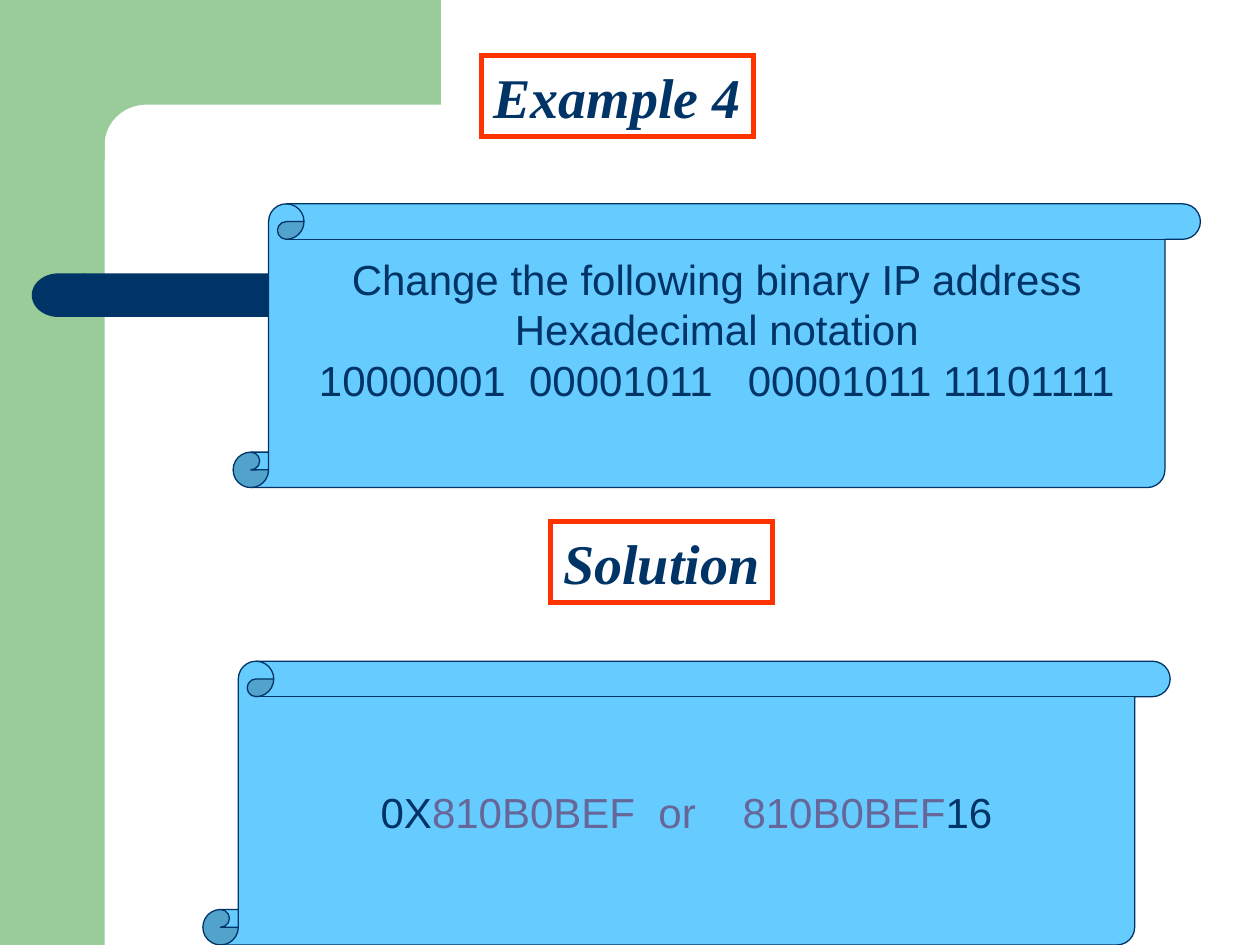
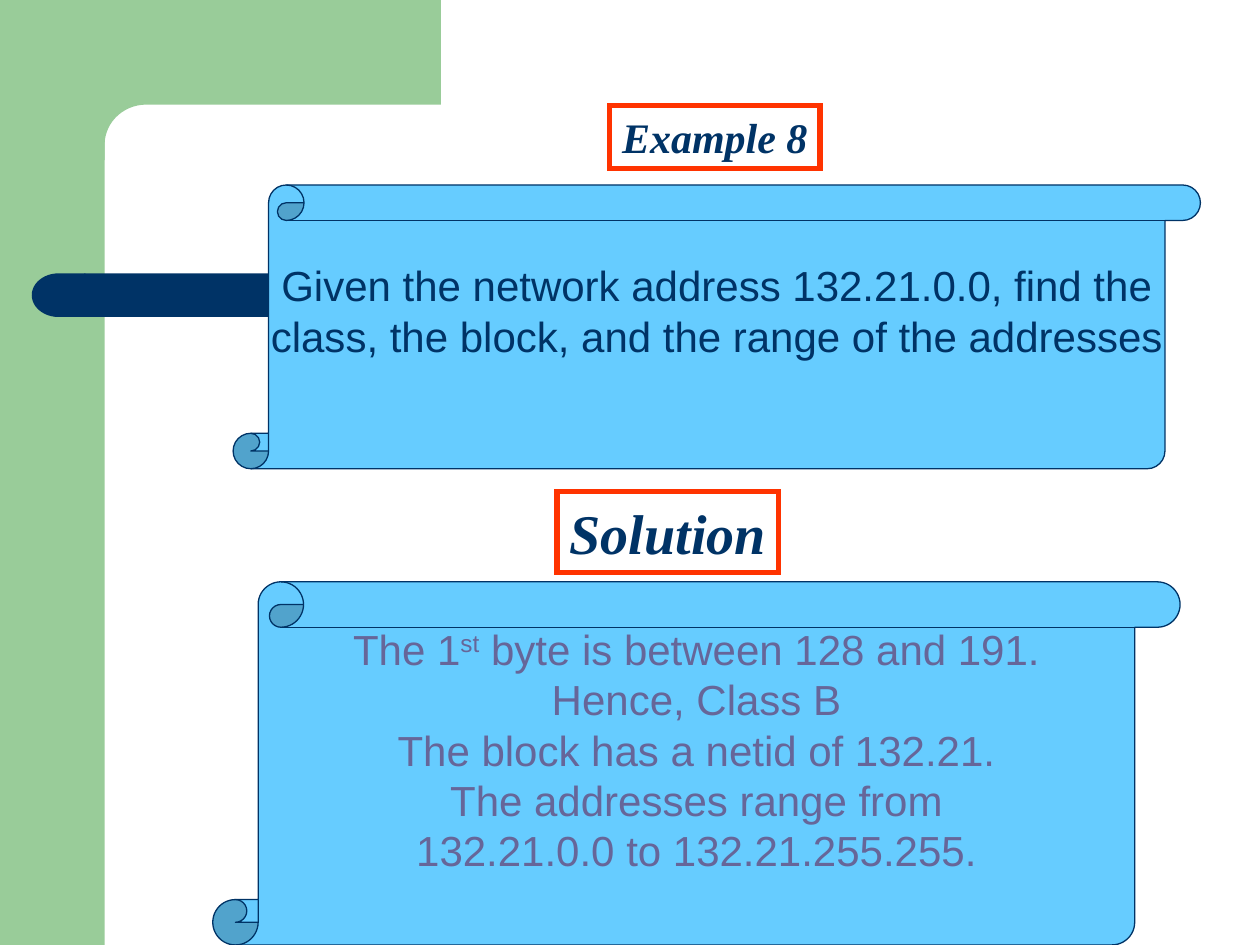
import math

import lxml.etree
import pptx
import pptx.dml.color
import pptx.enum.shapes
import pptx.enum.text
import pptx.oxml.ns
import pptx.util

Cm, Pt = pptx.util.Cm, pptx.util.Pt
SHAPE = pptx.enum.shapes.MSO_SHAPE
CENTER = pptx.enum.text.PP_ALIGN.CENTER
MIDDLE = pptx.enum.text.MSO_ANCHOR.MIDDLE

COLORS = {"green": "99CC99", "navy": "003366", "white": "FFFFFF",
          "red": "FF3300", "sky": "66CCFF", "purple": "666699"}
PAGE_WIDTH, PAGE_HEIGHT = 25.4, 19.05
SCROLL_WIDTH = 19.5
LABEL_FONT = {"name": "Times New Roman", "bold": True, "italic": True}
LABEL_FRAME = {"word_wrap": False, "vertical_anchor": MIDDLE,
               "auto_size": pptx.enum.text.MSO_AUTO_SIZE.NONE,
               "margin_left": 0, "margin_right": 0}
SCROLL_FONT = {"name": "Arial", "size": Pt(24)}
SPACE_WIDTH = 667  # one 24 pt space, in hundredths of a point
BOTTOM_INSET = 0.13

# A span is (text, color) or (text, color, run attributes).
SUPERSCRIPT = {"baseline": "30000"}


def gap(spaces, color):
    """A single space widened to the width of several."""
    return " ", color, {"spc": str(SPACE_WIDTH * (spaces - 1))}


# Labels: text, size, (left, top, width, height).
# Scrolls: left, top, height, room left free below the text, lines of spans.
PAGES = [
    {"title": ("Example 4", 32, (9.7, 1.12, 5.49, 1.63)),
     "solution": ("Solution", 32, (11.1, 10.52, 4.47, 1.63)),
     "scrolls": [
         (4.7, 4.11, 5.72, 1.02, [
             [("Change the following binary IP address", "navy")],
             [("Hexadecimal notation", "navy")],
             [("10000001", "navy"), gap(2, "navy"), ("00001011", "navy"),
              gap(3, "navy"), ("00001011 11101111", "navy")]]),
         (4.09, 13.33, 5.72, 0, [
             [("0X", "navy"), ("810B0BEF", "purple"), gap(2, "purple"),
              ("or", "purple"), gap(4, "purple"), ("810B0BEF", "purple"),
              ("16", "navy")]])]},
    {"title": ("Example 8", 24, (12.29, 2.13, 4.24, 1.27)),
     "solution": ("Solution", 32, (11.23, 9.91, 4.47, 1.63)),
     "scrolls": [
         (4.7, 3.73, 5.72, 1.02, [
             [("Given the network address 132.21.0.0, find the", "navy")],
             [("class, the block, and the range of the addresses", "navy")]]),
         (4.29, 11.73, 7.32, 1.02, [
             [("The 1", "purple"), ("st", "purple", SUPERSCRIPT),
              (" byte is between 128 and 191.", "purple")],
             [("Hence, Class B", "purple")],
             [("The block has a netid of 132.21.", "purple")],
             [("The addresses range from", "purple")],
             [("132.21.0.0 to 132.21.255.255.", "purple")]])]},
]


def color_of(name):
    return pptx.dml.color.RGBColor.from_string(COLORS[name])


def apply(target, values):
    for name, value in values.items():
        setattr(target, name, value)


def paint(shape, fill, line=None, width=0):
    shape.fill.solid()
    shape.fill.fore_color.rgb = color_of(fill)
    if line:
        shape.line.color.rgb = color_of(line)
        shape.line.width = Pt(width)
    else:
        shape.line.fill.background()


def sharpen_corners(box):
    """Give the outline mitred instead of rounded corners."""
    qn = pptx.oxml.ns.qn
    outline = box.element.spPr.find(qn("a:ln"))
    lxml.etree.SubElement(outline, qn("a:miter")).set("lim", "800000")


def add_shape(page, kind, place, *style):
    shape = page.shapes.add_shape(kind, *map(Cm, place))
    shape.shadow.inherit = False
    paint(shape, *style)
    return shape


def add_span(para, text, color, attributes=None):
    span = para.add_run()
    span.text = text
    span.font.color.rgb = color_of(color)
    for name, value in (attributes or {}).items():
        span._r.get_or_add_rPr().set(name, value)
    return span


def add_corner(page):
    """Green block along the top, rounded where it meets the side band."""
    radius_x, radius_y, center_x, center_y = 0.84, 0.81, 2.95, 2.92
    arc = [(center_x - radius_x * math.sin(angle),
            center_y - radius_y * math.cos(angle))
           for angle in (math.radians(step) for step in range(0, 91, 6))]
    outline = [(8.89, 0), (8.89, 2.11), *arc, (2.11, 3.23), (1.27, 3.23), (1.27, 0)]
    points = [(Cm(x), Cm(y)) for x, y in outline]
    builder = page.shapes.build_freeform(*points[0])
    builder.add_line_segments(points[1:])
    corner = builder.convert_to_shape()
    corner.shadow.inherit = False
    paint(corner, "green")
    return corner


def move_backdrop_to_layout(page):
    """Draw the shared bands on a page, then hand them to its layout."""
    bands = [add_shape(page, SHAPE.RECTANGLE, (0, 0, 2.11, PAGE_HEIGHT), "green"),
             add_corner(page),
             add_shape(page, SHAPE.RECTANGLE, (1.7, 5.51, 19.46, 0.88), "navy"),
             add_shape(page, SHAPE.FLOWCHART_DELAY, (0.64, 5.51, 1.08, 0.88), "navy")]
    bands[-1].rotation = 180
    tree = page.slide_layout.shapes.element
    for position, band in enumerate(bands, start=2):
        tree.insert(position, band.element)


def format_label(box, text, size, place):
    apply(box, dict(zip(("left", "top", "width", "height"), map(Cm, place))))
    paint(box, "white", "red", 3)
    sharpen_corners(box)
    apply(box.text_frame, LABEL_FRAME)
    para = box.text_frame.paragraphs[0]
    para.alignment = CENTER
    span = add_span(para, text, "navy")
    apply(span.font, {**LABEL_FONT, "size": Pt(size)})


def add_scroll(page, left, top, height, room_below, lines):
    scroll = add_shape(page, SHAPE.VERTICAL_SCROLL,
                       (left, top, SCROLL_WIDTH, height), "sky", "navy", 0.75)
    frame = scroll.text_frame
    apply(frame, {"word_wrap": False, "vertical_anchor": MIDDLE,
                  "margin_bottom": Cm(BOTTOM_INSET + room_below)})
    for number, spans in enumerate(lines):
        para = frame.add_paragraph() if number else frame.paragraphs[0]
        para.alignment = CENTER
        for content in spans:
            apply(add_span(para, *content).font, SCROLL_FONT)


def main():
    deck = pptx.Presentation()
    apply(deck, {"slide_width": Cm(PAGE_WIDTH), "slide_height": Cm(PAGE_HEIGHT)})
    title_only = deck.slide_layouts[5]
    for number, content in enumerate(PAGES):
        page = deck.slides.add_slide(title_only)
        if number == 0:
            move_backdrop_to_layout(page)
        format_label(page.shapes.title, *content["title"])
        solution = page.shapes.add_textbox(0, 0, 0, 0)
        format_label(solution, *content["solution"])
        for scroll in content["scrolls"]:
            add_scroll(page, *scroll)
    deck.save("out.pptx")


if __name__ == "__main__":
    main()
